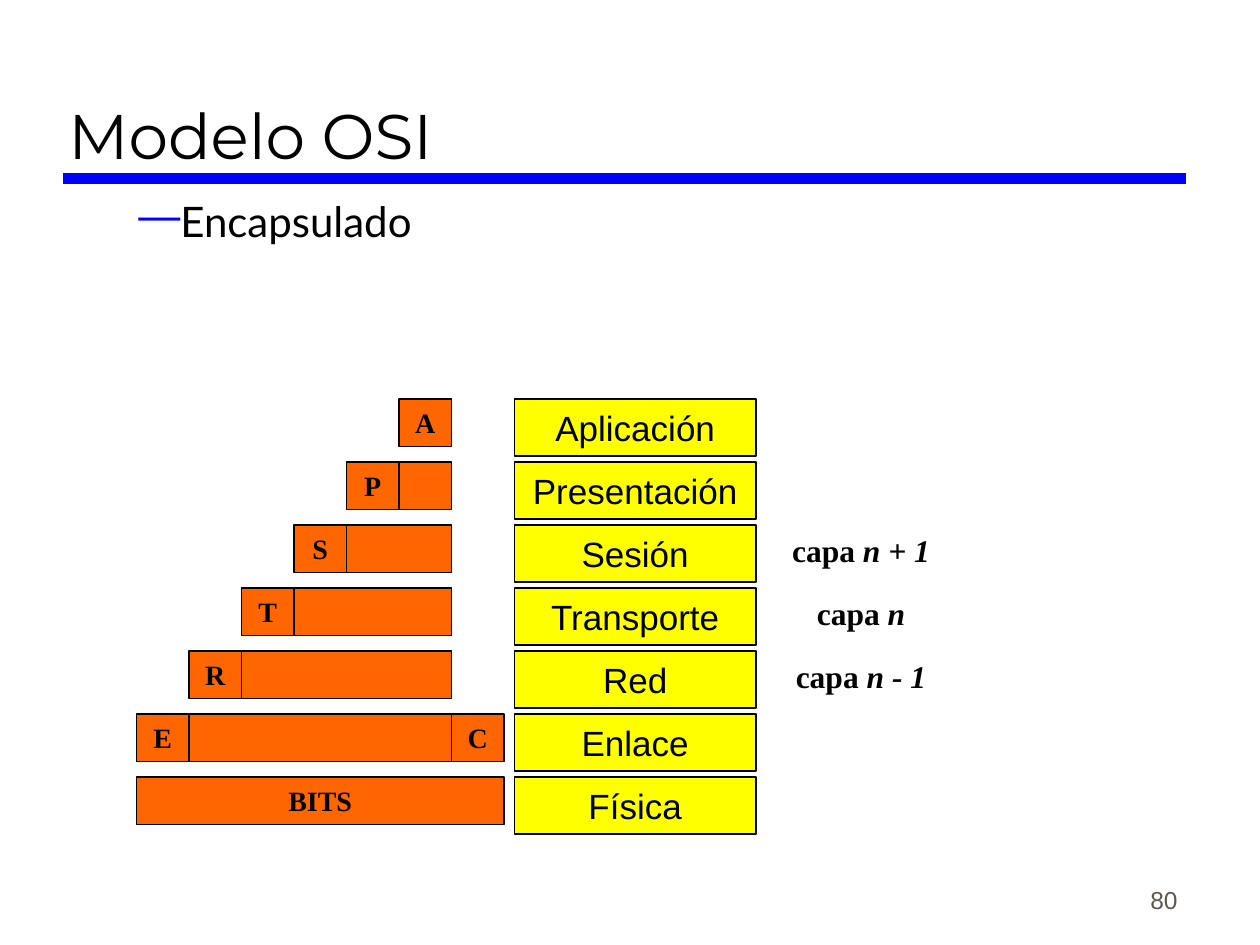
import pptx
import pptx.util
import pptx.dml.color
import pptx.enum.shapes
import pptx.enum.text
import pptx.oxml
import pptx.oxml.ns

Pt = pptx.util.Pt
ALIGN = pptx.enum.text.PP_ALIGN
ANCHOR = pptx.enum.text.MSO_ANCHOR
COLORS = {"rule": "0000FF", "text": "000000", "number": "5E574E",
          "layer": "FFFF00", "packet": "FF6600"}


class SlideBuilder:
    def __init__(self, slide):
        self.slide = slide
        self.serif = "Times New Roman"
        self.sans = "Arial"

    def color(self, name):
        return pptx.dml.color.RGBColor.from_string(COLORS[name])

    def add_runs(self, shape, runs, size, font, color="text", align=ALIGN.CENTER,
                 anchor=ANCHOR.MIDDLE, bold=False):
        frame = shape.text_frame
        frame.word_wrap = True
        frame.vertical_anchor = anchor
        paragraph = frame.paragraphs[0]
        paragraph.alignment = align
        for text, italic in runs:
            run = paragraph.add_run()
            run.text = text
            run.font.size = Pt(size)
            run.font.name = font
            run.font.bold = bold
            run.font.italic = italic
            run.font.color.rgb = self.color(color)
        return paragraph

    def text(self, left, top, width, height, runs, size, font, **style):
        shape = self.slide.shapes.add_textbox(Pt(left), Pt(top), Pt(width), Pt(height))
        return self.add_runs(shape, runs, size, font, **style)

    def bullet(self, paragraph, character, color, margin, indent):
        properties = paragraph._p.get_or_add_pPr()
        properties.set("marL", str(Pt(margin)))
        properties.set("indent", str(Pt(indent)))
        namespace = pptx.oxml.ns.nsdecls("a")
        for xml in (f'<a:buClr {namespace}><a:srgbClr val="{COLORS[color]}"/></a:buClr>',
                    f'<a:buChar {namespace} char="{character}"/>'):
            properties.append(pptx.oxml.parse_xml(xml))

    def rule(self, left, right, top, weight):
        connector = self.slide.shapes.add_connector(
            pptx.enum.shapes.MSO_CONNECTOR.STRAIGHT, Pt(left), Pt(top), Pt(right), Pt(top))
        connector.line.color.rgb = self.color("rule")
        connector.line.width = Pt(weight)
        effects = f'<a:effectLst {pptx.oxml.ns.nsdecls("a")}/>'
        connector._element.spPr.append(pptx.oxml.parse_xml(effects))

    def box(self, left, top, width, height, fill, weight):
        shape = self.slide.shapes.add_shape(
            pptx.enum.shapes.MSO_SHAPE.RECTANGLE, Pt(left), Pt(top), Pt(width), Pt(height))
        shape.shadow.inherit = False
        shape.fill.solid()
        shape.fill.fore_color.rgb = self.color(fill)
        shape.line.color.rgb = self.color("text")
        shape.line.width = Pt(weight)
        return shape

    def layer(self, top, name):
        shape = self.box(294, top, 138, 32.4, "layer", 1)
        self.add_runs(shape, [(name, False)], 20, self.sans)

    def packet(self, left, top, width, label=None):
        shape = self.box(left, top, width, 27, "packet", 0.75)
        if label:
            self.add_runs(shape, [(label, False)], 16, self.serif, bold=True)


def main():
    presentation = pptx.Presentation()
    presentation.slide_width = Pt(720)
    presentation.slide_height = Pt(540)
    slide = presentation.slides.add_slide(presentation.slide_layouts[6])
    builder = SlideBuilder(slide)

    builder.rule(36, 678, 102, 6)
    builder.text(530, 490, 150, 36, [("80", False)], 14, builder.sans,
                 color="number", align=ALIGN.RIGHT, anchor=ANCHOR.BOTTOM)
    builder.text(32, 12, 646, 90, [("Modelo OSI", False)], 36, "Montserrat",
                 align=ALIGN.LEFT, anchor=ANCHOR.BOTTOM)
    subtitle = builder.text(36, 108, 644, 368.6, [("Encapsulado", False)], 24, "Lato",
                            align=ALIGN.LEFT, anchor=ANCHOR.TOP)
    builder.bullet(subtitle, "—", "rule", 58.5, -22.5)

    first_top, step, cell, data_right = 228, 36, 30, 258
    layers = ["Aplicación", "Presentación", "Sesión", "Transporte", "Red", "Enlace", "Física"]
    tops = [first_top + step * row for row in range(len(layers))]
    for top, name in zip(tops, layers):
        builder.layer(top, name)

    for row, header in enumerate("APSTRE"):
        data_left = data_right - cell * row
        if row:
            builder.packet(data_left, tops[row], cell * row)
        builder.packet(data_left - cell, tops[row], cell, header)
    builder.packet(data_right, tops[5], cell, "C")
    builder.packet(data_right - 6 * cell, tops[6], 7 * cell, "BITS")

    for top, level in zip(tops[2:5], ["n + 1", "n", "n - 1"]):
        builder.text(432, top, 120, 29, [("capa ", False), (level, True)], 18,
                     builder.serif, bold=True)

    presentation.save("out.pptx")


if __name__ == "__main__":
    main()
